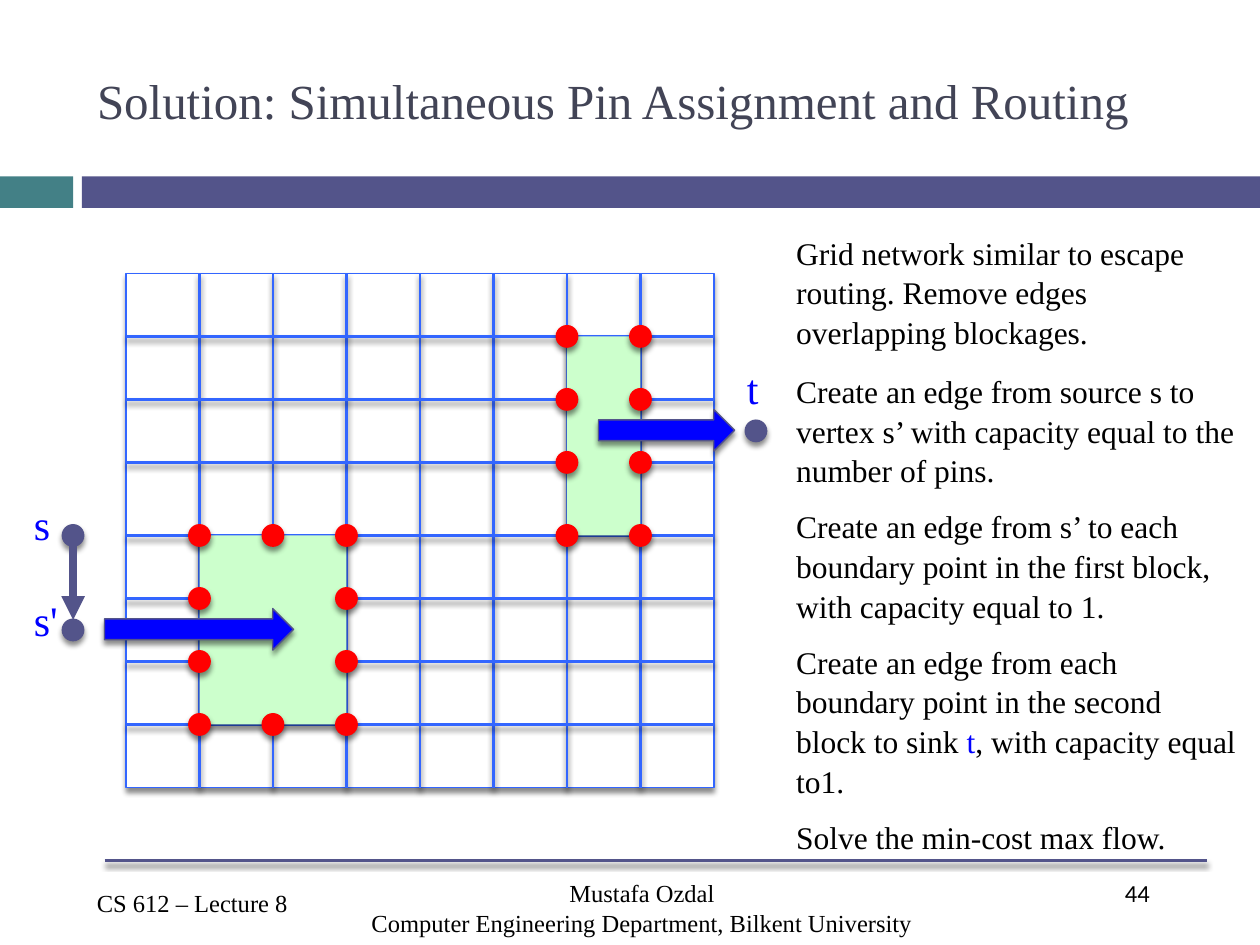
from itertools import product

from lxml import etree
from pptx import Presentation
from pptx.dml.color import RGBColor
from pptx.enum import shapes, text
from pptx.oxml.ns import qn
from pptx.util import Inches, Pt

COLORS = {
    "teal": "438086", "indigo": "53548A", "title": "424456", "black": "000000",
    "white": "FFFFFF", "grid": "3366FF", "blue": "0000FF", "block": "CCFFCC",
    "pin": "FF0000",
}
SERIF = "Times New Roman"
COLUMNS = [1 + 7 / 12 * index for index in range(9)]
ROWS = [2.17, 2.67, 3.17, 3.67, 4.25, 4.75, 5.25, 5.75, 6.25]
DOT_SIZE = 0.17

# Space before in points, then the runs as (text, colour)
NOTES = [
    (0, [("Grid network similar to escape routing. Remove edges overlapping blockages.", "black")]),
    (11, [("Create an edge from source s to vertex s’ with capacity equal to the number of pins.", "black")]),
    (9.3, [("Create an edge from s’ to each boundary point in the first block, with capacity equal to 1.", "black")]),
    (9.3, [("Create an edge from each boundary point in the second block to sink ", "black"),
           ("t", "blue"), (", with capacity equal to1.", "black")]),
    (9.3, [("Solve the min-cost max flow.", "black")]),
]


def rgb(name):
    return RGBColor.from_string(COLORS[name])


def set_shadow(shape, visible):
    """Replace the theme effect with a soft shadow below, or with none."""
    properties = shape._element.spPr
    effects = properties.find(qn("a:effectLst"))
    if effects is None:
        effects = etree.SubElement(properties, qn("a:effectLst"))
    if visible:
        shadow = etree.SubElement(effects, qn("a:outerShdw"), blurRad=str(Pt(3)),
                                  dist=str(Pt(2.4)), dir="5400000", rotWithShape="0")
        color = etree.SubElement(shadow, qn("a:srgbClr"), val=COLORS["black"])
        etree.SubElement(color, qn("a:alpha"), val="45000")


def add_box(slide, kind, left, top, width, height, fill, line=None, shadow=True):
    shape = slide.shapes.add_shape(
        kind, Inches(left), Inches(top), Inches(width), Inches(height))
    shape.fill.solid()
    shape.fill.fore_color.rgb = rgb(fill)
    if line:
        shape.line.color.rgb = rgb(line)
        shape.line.width = Pt(0.79)
    else:
        shape.line.fill.background()
    shape.shadow.inherit = False
    set_shadow(shape, shadow)
    return shape


def add_dot(slide, x, y, color):
    """Draw a dot centred on a point."""
    add_box(slide, shapes.MSO_SHAPE.OVAL, x - DOT_SIZE / 2, y - DOT_SIZE / 2,
            DOT_SIZE, DOT_SIZE, color, color)


def add_line(slide, start, end, color, width=1.5, shadow=True, arrow=False):
    connector = slide.shapes.add_connector(
        shapes.MSO_CONNECTOR.STRAIGHT, *map(Inches, start + end))
    connector.line.color.rgb = rgb(color)
    connector.line.width = Pt(width)
    if arrow:
        etree.SubElement(connector._element.spPr.get_or_add_ln(),
                         qn("a:tailEnd"), type="triangle")
    set_shadow(connector, shadow)


def format_run(run, size, color, font=SERIF):
    run.font.size = Pt(size)
    run.font.name = font
    run.font.color.rgb = rgb(color)


def add_text(slide, left, top, width, height, paragraphs, size=14, font=SERIF,
             align=text.PP_ALIGN.LEFT, wrap=True, line_spacing=None):
    """Add a text box from (space before, [(text, colour), ...]) paragraphs."""
    box = slide.shapes.add_textbox(
        Inches(left), Inches(top), Inches(width), Inches(height))
    frame = box.text_frame
    frame.word_wrap = wrap
    for index, (space, runs) in enumerate(paragraphs):
        paragraph = frame.paragraphs[0] if index == 0 else frame.add_paragraph()
        paragraph.alignment = align
        if space:
            paragraph.space_before = Pt(space)
        if line_spacing:
            paragraph.line_spacing = line_spacing
        for words, color in runs:
            run = paragraph.add_run()
            run.text = words
            format_run(run, size, color, font)


def add_title(slide, words):
    title = slide.shapes.title
    title.left, title.top = Inches(0.67), Inches(0.25)
    title.width, title.height = Inches(8.92), Inches(1.08)
    title.text_frame.vertical_anchor = text.MSO_ANCHOR.MIDDLE
    paragraph = title.text_frame.paragraphs[0]
    paragraph.alignment = text.PP_ALIGN.LEFT
    run = paragraph.add_run()
    run.text = words
    format_run(run, 28, "title")


def add_frame(slide):
    """Draw the header band and the footer."""
    rectangle = shapes.MSO_SHAPE.RECTANGLE
    add_box(slide, rectangle, 0, 1.4, 0.58, 0.25, "teal", shadow=False)
    add_box(slide, rectangle, 0.65, 1.4, 9.35, 0.25, "indigo", shadow=False)
    add_line(slide, (0.83, 6.83), (9.58, 6.83), "indigo")
    add_text(slide, 8.83, 6.92, 0.75, 0.5, [(0, [("44", "black")])], font="Calibri")
    add_text(slide, 0.67, 7, 1.83, 0.34, [(0, [("CS 612 – Lecture 8", "black")])])
    add_text(slide, 1.67, 6.92, 6.85, 0.58, [
        (0, [("Mustafa Ozdal", "black")]),
        (0, [("Computer Engineering Department, Bilkent University", "black")]),
    ], align=text.PP_ALIGN.CENTER)


def add_grid(slide):
    left, right, top, bottom = COLUMNS[0], COLUMNS[-1], ROWS[0], ROWS[-1]
    add_box(slide, shapes.MSO_SHAPE.RECTANGLE, left, top, right - left, bottom - top,
            "white", "grid")
    for x in COLUMNS[1:-1]:
        add_line(slide, (x, top), (x, bottom), "grid")
    for y in ROWS[1:-1]:
        add_line(slide, (left, y), (right, y), "grid")


def add_block(slide, first_column, last_column, first_row, last_row):
    """Draw a blockage with a pin at each grid point on its boundary."""
    left, top = COLUMNS[first_column], ROWS[first_row]
    add_box(slide, shapes.MSO_SHAPE.RECTANGLE, left, top,
            COLUMNS[last_column] - left, ROWS[last_row] - top, "block")
    for column, row in product(range(first_column, last_column + 1),
                               range(first_row, last_row + 1)):
        if column in (first_column, last_column) or row in (first_row, last_row):
            add_dot(slide, COLUMNS[column], ROWS[row], "pin")


def add_terminal(slide, name, x, y, label_left, label_top, label_width):
    add_dot(slide, x, y, "indigo")
    add_text(slide, label_left, label_top, label_width, 0.5,
             [(0, [(name, "blue")])], size=24, wrap=False)


def main():
    presentation = Presentation()
    presentation.slide_width, presentation.slide_height = Inches(10), Inches(7.5)
    slide = presentation.slides.add_slide(presentation.slide_layouts[5])
    add_frame(slide)
    add_title(slide, "Solution: Simultaneous Pin Assignment and Routing")
    add_grid(slide)
    add_text(slide, 6.22, 1.79, 3.7, 4.91, NOTES, size=18, line_spacing=1.05)
    add_block(slide, 1, 3, 4, 7)
    add_block(slide, 6, 7, 1, 4)
    for left, top, width in ((0.83, 4.83, 1.5), (4.75, 3.25, 1.08)):
        add_box(slide, shapes.MSO_SHAPE.RIGHT_ARROW, left, top, width, 0.33,
                "blue", "indigo")
    add_terminal(slide, "s", 0.58, 4.25, 0.17, 3.91, 0.33)
    add_terminal(slide, "s'", 0.58, 5, 0.17, 4.67, 0.39)
    add_terminal(slide, "t", 6, 3.42, 5.83, 2.83, 0.3)
    add_line(slide, (0.58, 4.33), (0.58, 4.92), "indigo", 4.5, shadow=False, arrow=True)
    presentation.save("out.pptx")


if __name__ == "__main__":
    main()
